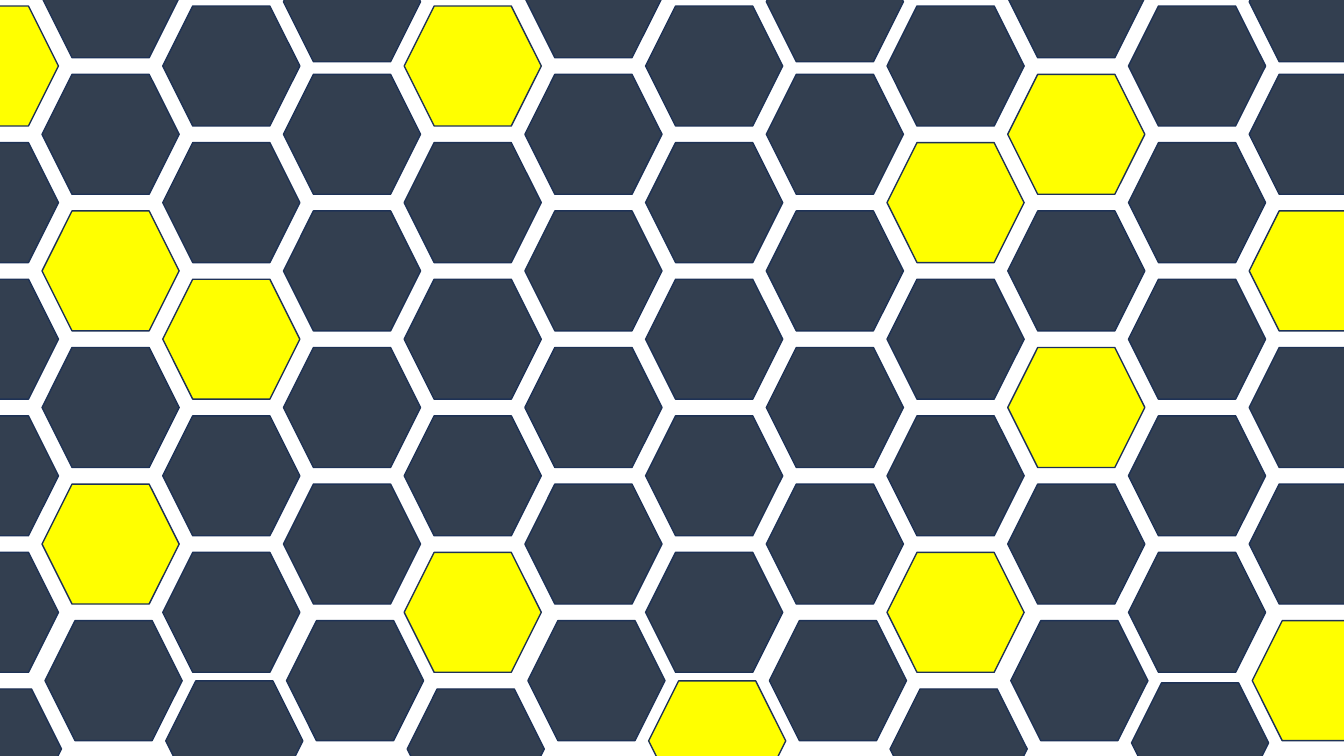
import pptx
import pptx.dml.color
import pptx.enum.shapes
import pptx.util

COLORS = {"slate": "333F50", "yellow": "FFFF00", "outline": "1E3256"}

# Honeycomb grid, in inches
COLUMNS, ROWS = 12, 6
FIRST_LEFT, LAST_LEFT = -0.78, 12.39
FIRST_TOP, FIFTH_TOP = 0.06, 5.48
COLUMN_STEP = (LAST_LEFT - FIRST_LEFT) / (COLUMNS - 1)
ROW_STEP = (FIFTH_TOP - FIRST_TOP) / 4
CELL_WIDTH, CELL_HEIGHT = 1.36, 1.19
LAST_ROW_SHIFT = 0.03

# Cells given as (column, row)
YELLOW_CELLS = {
    (0, 0), (1, 2), (1, 4), (2, 2), (4, 0), (4, 4), (6, 5),
    (8, 1), (8, 4), (9, 1), (9, 3), (11, 2), (11, 5),
}
# Cells at the slide's edge that sit slightly off the grid
EDGE_NUDGES = {
    (3, 0): 0.04, (7, 0): 0.04, (11, 0): 0.04,
    (2, 5): -0.08, (6, 5): -0.08, (10, 5): -0.06,
}


class Honeycomb:
    """Holds the style and the current slide."""

    def __init__(self, slide, colors):
        self.slide = slide
        self.colors = colors

    def color(self, name):
        return pptx.dml.color.RGBColor.from_string(self.colors[name])

    def hexagon(self, column, row, fill):
        # Odd columns start half a row higher
        left = FIRST_LEFT + column * COLUMN_STEP
        top = FIRST_TOP + (row - column % 2 / 2) * ROW_STEP
        top += EDGE_NUDGES.get((column, row), 0)
        if row == ROWS - 1:
            left += LAST_ROW_SHIFT
        shape = self.slide.shapes.add_shape(
            pptx.enum.shapes.MSO_SHAPE.HEXAGON,
            *map(pptx.util.Inches, (left, top, CELL_WIDTH, CELL_HEIGHT)),
        )
        shape.shadow.inherit = False
        shape.fill.solid()
        shape.fill.fore_color.rgb = self.color(fill)
        shape.line.color.rgb = self.color("outline")
        shape.line.width = pptx.util.Pt(1)


def main():
    presentation = pptx.Presentation()
    presentation.slide_width = pptx.util.Inches(13.33)
    presentation.slide_height = pptx.util.Inches(7.5)

    # Blank layout: the slide has no title
    slide = presentation.slides.add_slide(presentation.slide_layouts[6])
    honeycomb = Honeycomb(slide, COLORS)

    # Hexagon pattern
    for column in range(COLUMNS):
        for row in range(ROWS):
            fill = "yellow" if (column, row) in YELLOW_CELLS else "slate"
            honeycomb.hexagon(column, row, fill)

    presentation.save("out.pptx")


if __name__ == "__main__":
    main()
